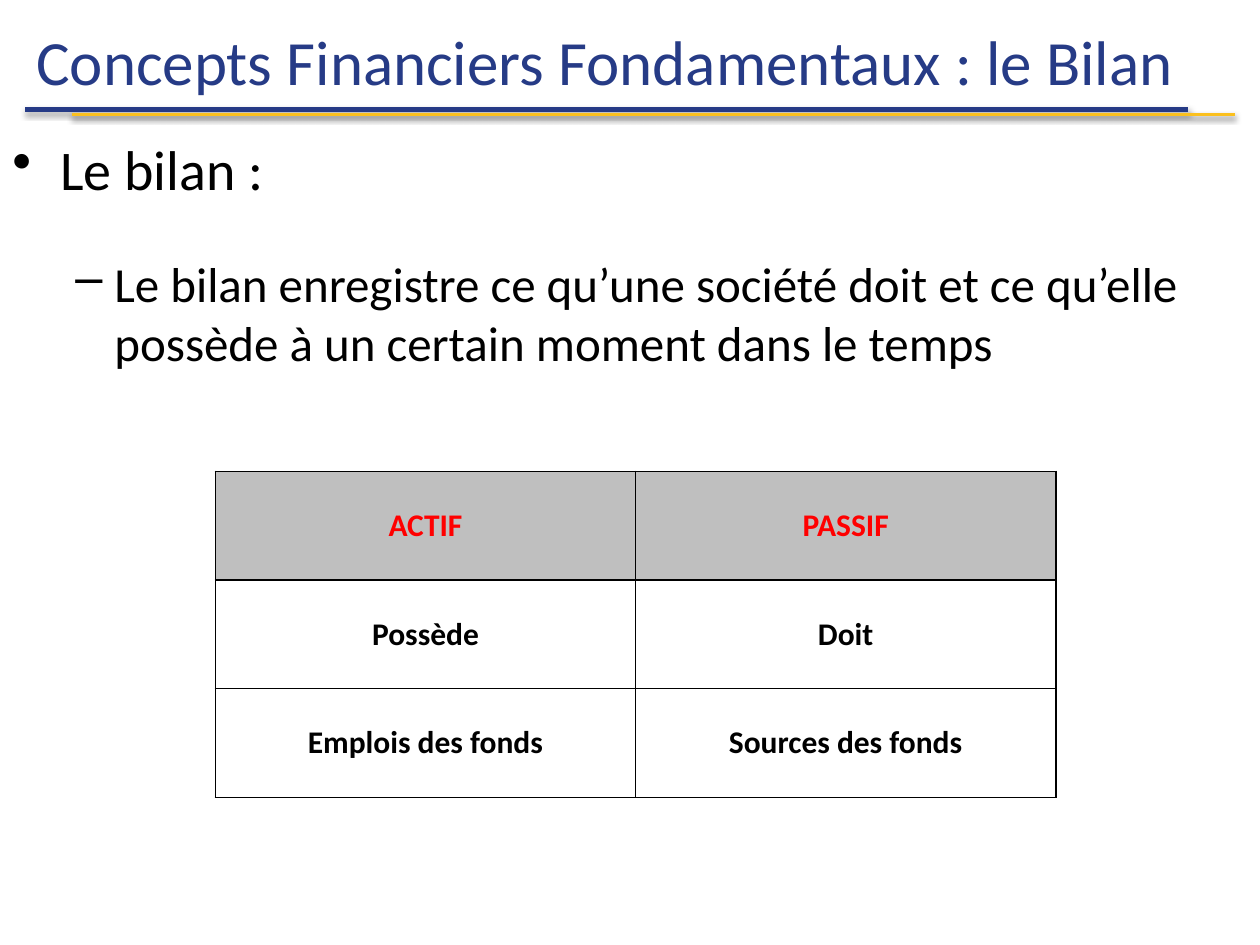
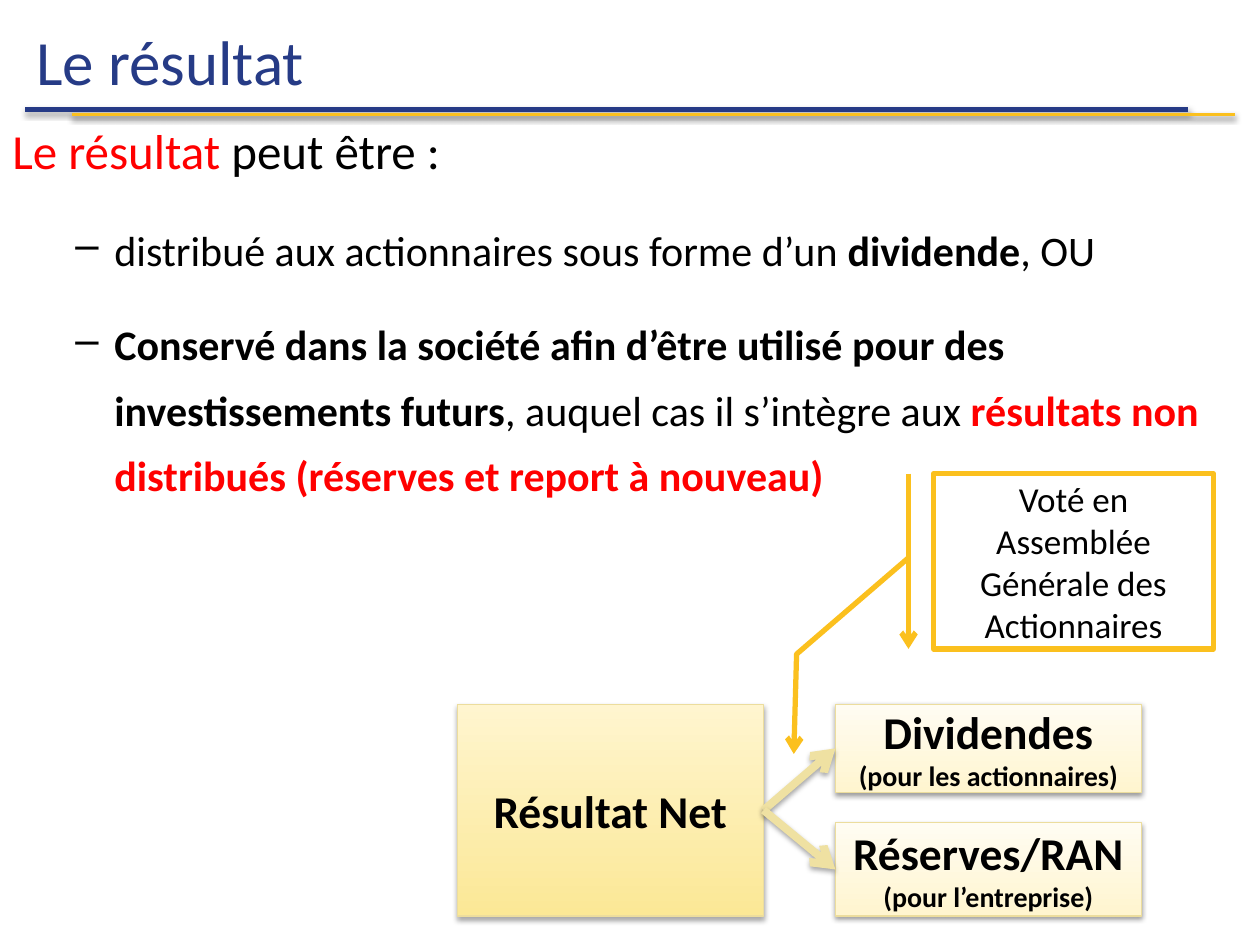
from lxml import etree
from pptx import Presentation
from pptx.dml.color import RGBColor
from pptx.enum.shapes import MSO_CONNECTOR, MSO_SHAPE
from pptx.enum.text import MSO_ANCHOR, PP_ALIGN
from pptx.oxml import parse_xml
from pptx.oxml.ns import nsdecls, qn
from pptx.util import Inches, Pt

STRAIGHT = MSO_CONNECTOR.STRAIGHT
RECTANGLE = MSO_SHAPE.RECTANGLE
CALLOUT = MSO_SHAPE.LINE_CALLOUT_2_BORDER_AND_ACCENT_BAR
TOP, MIDDLE = MSO_ANCHOR.TOP, MSO_ANCHOR.MIDDLE
LEFT, CENTER = PP_ALIGN.LEFT, PP_ALIGN.CENTER

FONT = "Calibri"
NAVY = RGBColor(0x26, 0x3B, 0x86)
GOLD = RGBColor(0xFB, 0xC0, 0x1E)
BLACK = RGBColor(0, 0, 0)
WHITE = RGBColor(0xFF, 0xFF, 0xFF)
RED = RGBColor(0xFF, 0, 0)
GREY = RGBColor(0xBF, 0xBF, 0xBF)
YELLOW = RGBColor(0xFB, 0xE8, 0x96)
CREAM = RGBColor(0xFF, 0xF5, 0xCF)
IVORY = RGBColor(0xFF, 0xFC, 0xF2)
SAND = RGBColor(0xEC, 0xDD, 0x9D)
ARROW_SAND = RGBColor(0xEF, 0xE1, 0xA2)

WIDTH, HEIGHT = Inches(10), Inches(7.5)


def write(frame, paragraphs, anchor=MIDDLE):
    """Fill a frame with (spans, format, bullet) paragraphs.

    A span is (text, size, colour, bold); a bullet is (sign, margin, hanging).
    """
    frame.word_wrap = True
    frame.vertical_anchor = anchor
    for number, (spans, layout, bullet) in enumerate(paragraphs):
        para = frame.add_paragraph() if number else frame.paragraphs[0]
        sign, margin, hanging = bullet
        properties = para._p.get_or_add_pPr()
        properties.set("marL", str(Inches(margin)))
        properties.set("indent", str(-Inches(hanging)))
        if sign:
            etree.SubElement(properties, qn("a:buChar"), char=sign)
        for name, value in layout.items():
            setattr(para, name, value)
        for text, size, colour, bold in spans:
            span = para.add_run()
            span.text = text
            for name, value in dict(name=FONT, size=Pt(size), bold=bold).items():
                setattr(span.font, name, value)
            span.font.color.rgb = colour


def finish(shape, colour, weight, shadow=None, arrow=False):
    """Set the outline, the arrowhead and the (opacity, distance) shadow."""
    shape.line.color.rgb = colour
    shape.line.width = Pt(weight)
    properties = shape.element.spPr
    if arrow:
        etree.SubElement(properties.find(qn("a:ln")), qn("a:tailEnd"), type="arrow")
    effects = etree.SubElement(properties, qn("a:effectLst"))
    if shadow:
        opacity, distance = shadow
        effects.append(parse_xml(
            f'<a:outerShdw {nsdecls("a")} blurRad="{Pt(3.1)}" dist="{Pt(distance)}" '
            'dir="5400000" rotWithShape="0"><a:srgbClr val="000000">'
            f'<a:alpha val="{opacity * 1000}"/></a:srgbClr></a:outerShdw>'))


SOFT, STRONG = (35, 1.8), (38, 1.6)
PLAIN = (None, 0, 0)
DOT = ("•", 0.38, 0.38)
DASH = ("–", 0.81, 0.31)
CENTERED = dict(alignment=CENTER)

deck = Presentation()
deck.slide_width, deck.slide_height = WIDTH, HEIGHT

# Title, double rule and body text of each slide
contents = [
    ("Concepts Financiers Fondamentaux : le Bilan", 1.02, 5.99, [
        ([("Le bilan :", 32, BLACK, False)], dict(space_after=Pt(24)), DOT),
        ([("Le bilan enregistre ce qu’une société doit et ce qu’elle possède "
           "à un certain moment dans le temps", 28, BLACK, False)],
         dict(space_before=Pt(5.6), space_after=Pt(24)), DASH),
    ]),
    ("Le résultat", 0.77, 6.47, [
        ([("Le résultat", 28, RED, False), (" peut être :", 28, BLACK, False)],
         dict(line_spacing=1.3, space_after=Pt(12)), PLAIN),
        ([("distribué aux actionnaires sous forme d’un ", 24, BLACK, False),
          ("dividende", 24, BLACK, True), (", OU", 24, BLACK, False)],
         dict(line_spacing=1.3, space_before=Pt(4.8), space_after=Pt(12)), DASH),
        ([("Conservé dans la société afin d’être utilisé pour des "
           "investissements futurs", 24, BLACK, True),
          (", auquel cas il s’intègre aux ", 24, BLACK, False),
          ("résultats non distribués (réserves et report à nouveau)", 24, RED, True)],
         dict(line_spacing=1.3, space_before=Pt(4.8), space_after=Pt(18)), DASH),
    ]),
]
rules = [(0.2, 0.87, NAVY, 3), (0.57, 0.91, GOLD, 2)]
RULE_LENGTH = 9.23

pages = []
for title, body_top, body_height, paragraphs in contents:
    page = deck.slides.add_slide(deck.slide_layouts[6])
    pages.append(page)
    for left, top, colour, weight in rules:
        rule = page.shapes.add_connector(
            STRAIGHT, Inches(left), Inches(top), Inches(left + RULE_LENGTH), Inches(top))
        finish(rule, colour, weight, STRONG)
    title_box = page.shapes.add_textbox(0, Inches(0.02), WIDTH, Inches(0.91))
    write(title_box.text_frame,
          [([(title, 36, NAVY, False)], dict(alignment=LEFT), (None, 0.19, 0))])
    body_box = page.shapes.add_textbox(0, Inches(body_top), WIDTH, Inches(body_height))
    write(body_box.text_frame, paragraphs, TOP)

balance_page, result_page = pages

# Balance sheet table
balance_rows = [
    ("ACTIF", "PASSIF"),
    ("Possède", "Doit"),
    ("Emplois des fonds", "Sources des fonds"),
]
table = balance_page.shapes.add_table(
    3, 2, Inches(1.71), Inches(3.74), Inches(6.67), Inches(2.59)).table
table.first_row = table.horz_banding = False
for row_number, texts in enumerate(balance_rows):
    for column_number, text in enumerate(texts):
        cell = table.cell(row_number, column_number)
        is_header = row_number == 0
        write(cell.text_frame,
              [([(text, 18, RED if is_header else BLACK, True)], CENTERED, PLAIN)])
        cell.vertical_anchor = MIDDLE
        if is_header:
            cell.fill.solid()
            cell.fill.fore_color.rgb = GREY
        else:
            cell.fill.background()
        for position, side in enumerate("LRTB"):
            cell._tc.get_or_add_tcPr().insert(position, parse_xml(
                f'<a:ln{side} {nsdecls("a")} w="{Pt(1)}"><a:solidFill>'
                f'<a:srgbClr val="{BLACK}"/></a:solidFill></a:ln{side}>'))

# Split of the net result
BOX_WIDTH, BOX_TOP = 2.43, 5.59
RESULT_LEFT, SHARE_LEFT = 3.63, 6.63
result_boxes = [
    (RESULT_LEFT, BOX_TOP, 1.68, (YELLOW, CREAM), SOFT, [("Résultat Net", 26)]),
    (SHARE_LEFT, BOX_TOP, 0.7, (CREAM, IVORY), STRONG,
     [("Dividendes", 26), ("(pour les actionnaires)", 16)]),
    (SHARE_LEFT, 6.53, 0.74, (CREAM, IVORY), STRONG,
     [("Réserves/RAN", 26), ("(pour l’entreprise)", 16)]),
]
for left, top, height, colours, shadow, lines in result_boxes:
    box = result_page.shapes.add_shape(
        RECTANGLE, Inches(left), Inches(top), Inches(BOX_WIDTH), Inches(height))
    box.fill.gradient()
    box.fill.gradient_angle = 90
    for stop, colour, position in zip(box.fill.gradient_stops, colours, (0, 1)):
        stop.color.rgb = colour
        stop.position = position
    finish(box, SAND, 0.75, shadow)
    write(box.text_frame,
          [([(text, size, BLACK, True)], CENTERED, PLAIN) for text, size in lines])

for arrow_end in (5.94, 6.9):
    arrow = result_page.shapes.add_connector(
        STRAIGHT, Inches(RESULT_LEFT + BOX_WIDTH), Inches(6.43),
        Inches(SHARE_LEFT), Inches(arrow_end))
    finish(arrow, ARROW_SAND, 4.5, SOFT, arrow=True)

# Callout on the shareholders' vote
vote = result_page.shapes.add_shape(
    CALLOUT, Inches(7.41), Inches(3.76), Inches(2.22), Inches(1.39))
for number, value in enumerate((0.48, -0.09, 1.03, -0.49, 1.6, -0.5)):
    vote.adjustments[number] = value
vote.fill.solid()
vote.fill.fore_color.rgb = WHITE
finish(vote, GOLD, 3, arrow=True)
write(vote.text_frame,
      [([("Voté en Assemblée Générale des Actionnaires", 20, BLACK, False)],
        CENTERED, PLAIN)])

deck.save("out.pptx")
